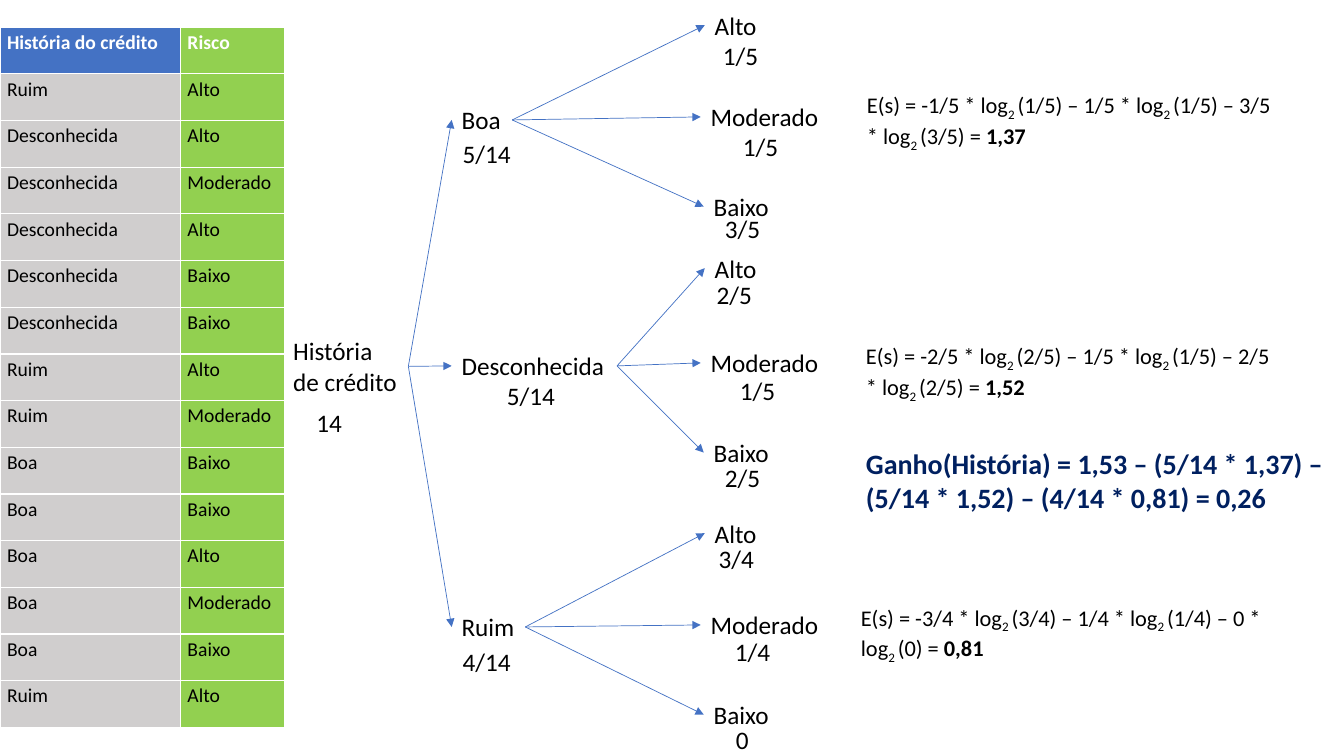
from lxml import etree
from pptx import Presentation
from pptx.dml.color import RGBColor
from pptx.enum.shapes import MSO_CONNECTOR
from pptx.oxml.ns import qn
from pptx.util import Inches, Pt

STRAIGHT = MSO_CONNECTOR.STRAIGHT
BLACK = RGBColor(0x00, 0x00, 0x00)
WHITE = RGBColor(0xFF, 0xFF, 0xFF)
BLUE = RGBColor(0x44, 0x72, 0xC4)
GREEN = RGBColor(0x92, 0xD0, 0x50)
GREY = RGBColor(0xD0, 0xCE, 0xCE)
NAVY = RGBColor(0x00, 0x20, 0x60)
FONT = "Calibri"
LABEL_HEIGHT = 0.4
LABEL_MIDDLE = 0.2
BRANCH_LEFT = 4.48

CREDIT_ROWS = [
    ("História do crédito", "Risco"),
    ("Ruim", "Alto"),
    ("Desconhecida", "Alto"),
    ("Desconhecida", "Moderado"),
    ("Desconhecida", "Alto"),
    ("Desconhecida", "Baixo"),
    ("Desconhecida", "Baixo"),
    ("Ruim", "Alto"),
    ("Ruim", "Moderado"),
    ("Boa", "Baixo"),
    ("Boa", "Baixo"),
    ("Boa", "Alto"),
    ("Boa", "Moderado"),
    ("Boa", "Baixo"),
    ("Ruim", "Alto"),
]

LEAVES = [("Alto", 6.99, 0.62), ("Moderado", 6.95, 1.28), ("Baixo", 6.98, 0.75)]

BRANCHES = [
    {"name": "Boa", "top": 0.99, "width": 0.6, "share": ("5/14", 0.01, 0.33),
     "leaf_tops": (-0.94, -0.03, 0.86),
     "odds": [("1/5", 0.08, 0.3), ("1/5", 0.32, 0.29), ("3/5", 0.11, 0.22)],
     "formula": (8.5, 0.86), "terms": ("1/5", "1/5", "3/5"), "entropy": "1,37"},
    {"name": "Desconhecida", "top": 3.43, "width": 1.64, "share": ("5/14", 0.45, 0.29),
     "leaf_tops": (-0.97, -0.03, 0.86),
     "odds": [("2/5", 0.02, 0.26), ("1/5", 0.29, 0.27), ("2/5", 0.11, 0.25)],
     "formula": (8.49, 3.35), "terms": ("2/5", "1/5", "2/5"), "entropy": "1,52"},
    {"name": "Ruim", "top": 6.02, "width": 0.73, "share": ("4/14", 0.01, 0.34),
     "leaf_tops": (-0.93, -0.02, 0.87),
     "odds": [("3/4", 0.04, 0.25), ("1/4", 0.24, 0.26), ("0", 0.22, 0.25)],
     "formula": (8.44, 5.94), "terms": ("3/4", "1/4", "0"), "entropy": "0,81"},
]


def add_span(para, text, size, color=BLACK, bold=False, subscript=False):
    span = para.add_run()
    span.text = text
    span.font.name = FONT
    span.font.size = Pt(size)
    span.font.bold = bold
    span.font.color.rgb = color
    if subscript:
        span.font._element.set("baseline", "-25000")


def add_box(page, left, top, width, height, wrap):
    box = page.shapes.add_textbox(Inches(left), Inches(top), Inches(width), Inches(height))
    box.text_frame.word_wrap = wrap
    return box.text_frame.paragraphs[0]


def add_label(page, text, left, top, width, wrap=False):
    para = add_box(page, left, top, width, LABEL_HEIGHT, wrap)
    add_span(para, text, 18)


def add_arrow(page, start, end):
    arrow = page.shapes.add_connector(STRAIGHT, *(Inches(value) for value in start + end))
    arrow.line.color.rgb = BLUE
    arrow.line.width = Pt(0.5)
    outline = arrow.line._get_or_add_ln()
    etree.SubElement(outline, qn("a:tailEnd"), type="triangle")
    etree.SubElement(arrow._element.spPr, qn("a:effectLst"))


def add_credit_table(page, left, top, widths, height):
    frame = page.shapes.add_table(len(CREDIT_ROWS), len(widths), Inches(left), Inches(top),
                                  Inches(sum(widths)), Inches(height))
    table = frame.table
    table.horz_banding = False
    for column, width in zip(table.columns, widths):
        column.width = Inches(width)
    for row_index, words in enumerate(CREDIT_ROWS):
        header = row_index == 0
        for column_index, word in enumerate(words):
            cell = table.cell(row_index, column_index)
            cell.margin_left = cell.margin_right = Inches(0.07)
            cell.margin_top = cell.margin_bottom = 0
            cell.fill.solid()
            first_fill = BLUE if header else GREY
            cell.fill.fore_color.rgb = GREEN if column_index else first_fill
            para = cell.text_frame.paragraphs[0]
            para.line_spacing = 1.15
            add_span(para, word, 14, WHITE if header else BLACK, header)


def add_root(page, left, top, width, height):
    para = add_box(page, left, top, width, height, False)
    add_span(para, "História", 18)
    para.add_line_break()
    add_span(para, "de crédito", 18)
    add_label(page, "14", left + 0.23, top + height, 0.46)
    start = (left + width, top + height / 2)
    for branch in BRANCHES:
        add_arrow(page, start, (BRANCH_LEFT, branch["top"] + LABEL_MIDDLE))


def add_branch(page, branch, left, top, width):
    add_label(page, branch["name"], left, top, width)
    share, share_left, share_top = branch["share"]
    add_label(page, share, left + share_left, top + share_top, 0.68)
    start = (left + width, top + LABEL_MIDDLE)
    for leaf, offset, odds in zip(LEAVES, branch["leaf_tops"], branch["odds"]):
        name, leaf_left, leaf_width = leaf
        chance, chance_left, chance_top = odds
        leaf_top = top + offset
        add_label(page, name, leaf_left, leaf_top, leaf_width)
        add_label(page, chance, leaf_left + chance_left, leaf_top + chance_top, 0.62, True)
        add_arrow(page, start, (leaf_left, leaf_top + LABEL_MIDDLE))


def add_entropy(page, terms, entropy, left, top, width, height):
    para = add_box(page, left, top, width, height, True)
    lead = "E(s) = -"
    for term in terms:
        add_span(para, f"{lead}{term} * log", 16)
        add_span(para, "2 ", 16, subscript=True)
        lead = f"({term}) – "
    add_span(para, f"({terms[-1]}) = ", 16)
    add_span(para, entropy, 16, bold=True)


def add_gain(page, left, top, width, height):
    para = add_box(page, left, top, width, height, True)
    add_span(para, "Ganho(História) = 1,53 – (5/14 * 1,37) – (5/14 * 1,52) – (4/14 * 0,81) = 0,26",
             20, NAVY, True)


def main():
    deck = Presentation()
    deck.slide_width = Inches(13.33)
    deck.slide_height = Inches(7.5)
    page = deck.slides.add_slide(deck.slide_layouts[6])
    add_credit_table(page, 0, 0.27, (1.79, 1.03), 6.95)
    add_root(page, 2.81, 3.28, 1.24, 0.71)
    for branch in BRANCHES:
        add_branch(page, branch, BRANCH_LEFT, branch["top"], branch["width"])
        add_entropy(page, branch["terms"], branch["entropy"], *branch["formula"], 4.27, 0.64)
    add_gain(page, 8.49, 4.38, 4.84, 0.77)
    deck.save("out.pptx")


if __name__ == "__main__":
    main()
